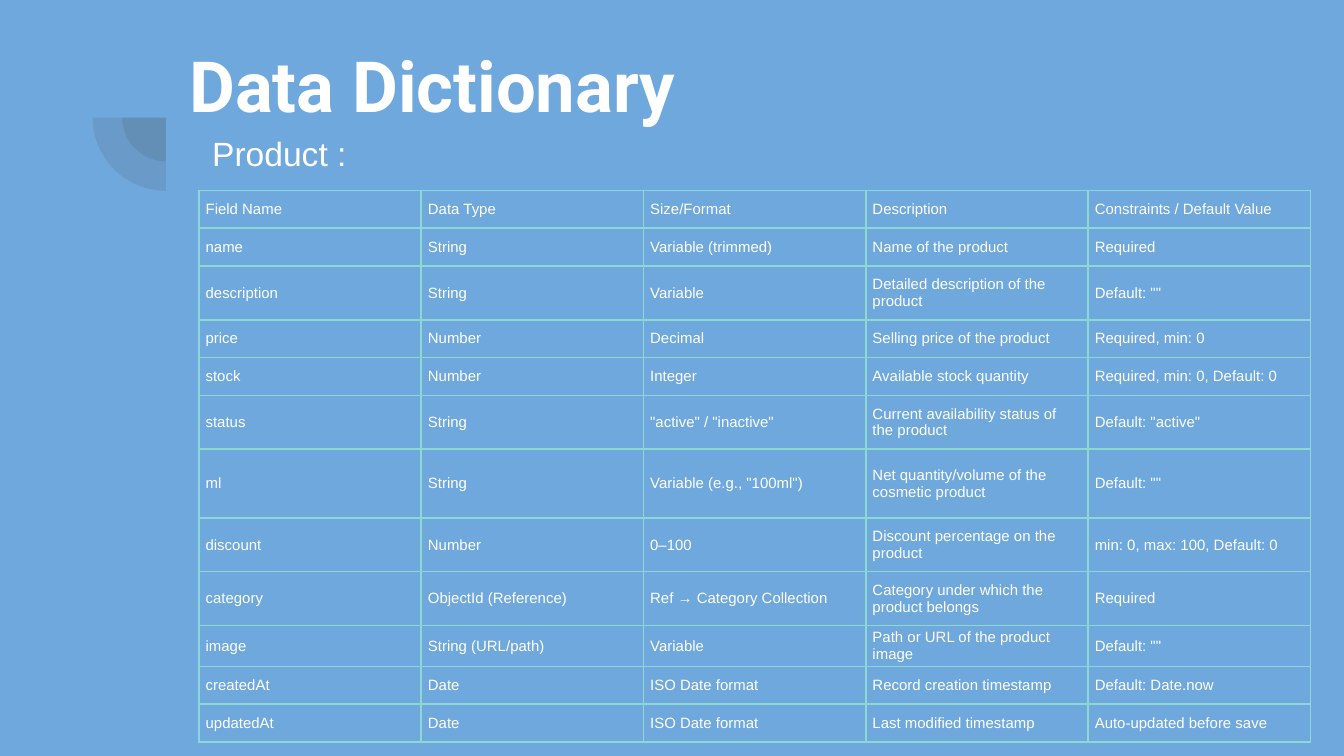
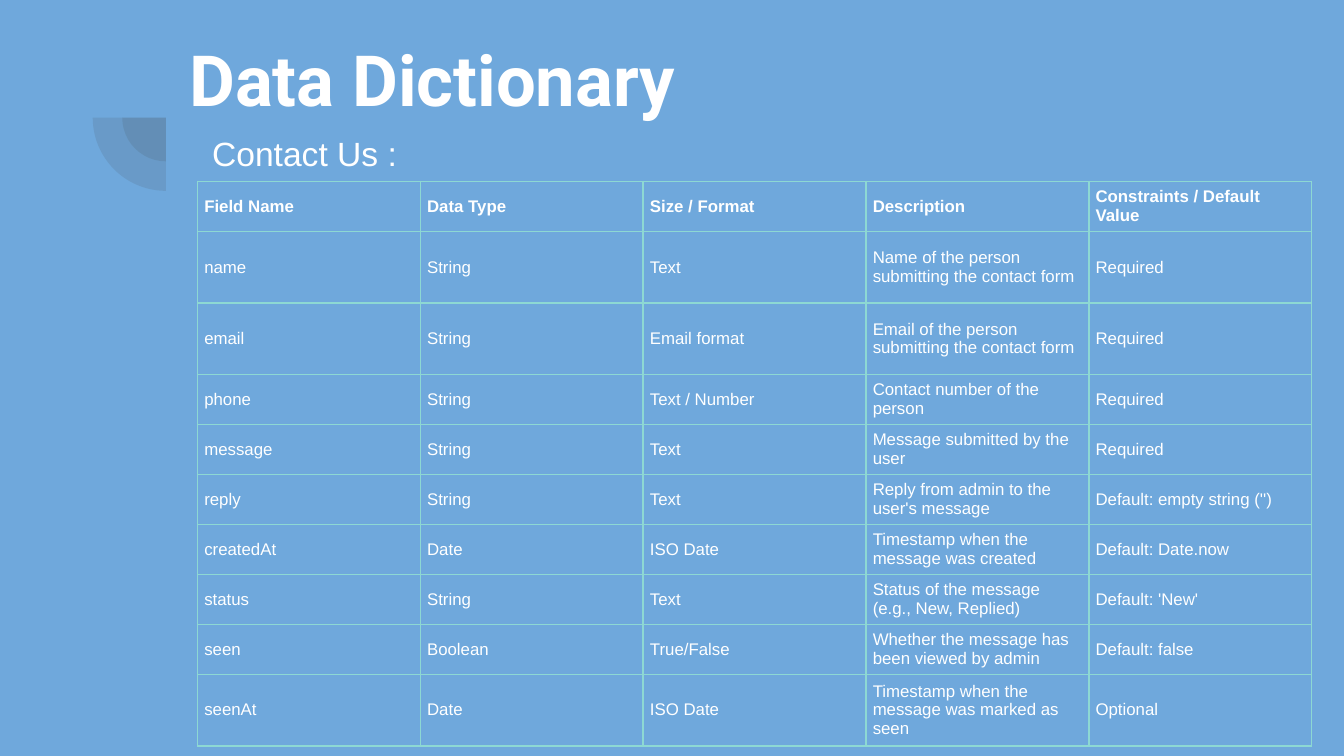
from lxml import etree
from pptx import Presentation
from pptx.dml.color import RGBColor
from pptx.enum.shapes import MSO_SHAPE
from pptx.enum.text import MSO_ANCHOR
from pptx.oxml.ns import qn
from pptx.util import Inches, Pt

PIE, MIDDLE = MSO_SHAPE.PIE, MSO_ANCHOR.MIDDLE
COLORS = {"sky": "6FA8DC", "mint": "8DD8D3", "gray": "424242", "white": "FFFFFF"}
WIDTH = Inches(10)
HEIGHT = WIDTH * 9 // 16

# Row heights, in percent of the slide height
LOW, MID, TALL = 5, 7.11, 9.12
PAIR, TRIO = 6.62, 9.46

PRODUCT = [
    (LOW, "Field Name", "Data Type", "Size/Format", "Description",
     "Constraints / Default Value"),
    (LOW, "name", "String", "Variable (trimmed)", "Name of the product", "Required"),
    (MID, "description", "String", "Variable", "Detailed description of the product",
     'Default: ""'),
    (LOW, "price", "Number", "Decimal", "Selling price of the product",
     "Required, min: 0"),
    (LOW, "stock", "Number", "Integer", "Available stock quantity",
     "Required, min: 0, Default: 0"),
    (MID, "status", "String", '"active" / "inactive"',
     "Current availability status of the product", 'Default: "active"'),
    (TALL, "ml", "String", 'Variable (e.g., "100ml")',
     "Net quantity/volume of the cosmetic product", 'Default: ""'),
    (MID, "discount", "Number", "0–100", "Discount percentage on the product",
     "min: 0, max: 100, Default: 0"),
    (MID, "category", "ObjectId (Reference)", "Ref → Category Collection",
     "Category under which the product belongs", "Required"),
    (LOW, "image", "String (URL/path)", "Variable", "Path or URL of the product image",
     'Default: ""'),
    (LOW, "createdAt", "Date", "ISO Date format", "Record creation timestamp",
     "Default: Date.now"),
    (LOW, "updatedAt", "Date", "ISO Date format", "Last modified timestamp",
     "Auto-updated before save"),
]
CONTACT = [
    (PAIR, "Field Name", "Data Type", "Size / Format", "Description",
     "Constraints / Default Value"),
    (TRIO, "name", "String", "Text", "Name of the person submitting the contact form",
     "Required"),
    (TRIO, "email", "String", "Email format",
     "Email of the person submitting the contact form", "Required"),
    (PAIR, "phone", "String", "Text / Number", "Contact number of the person",
     "Required"),
    (PAIR, "message", "String", "Text", "Message submitted by the user", "Required"),
    (PAIR, "reply", "String", "Text", "Reply from admin to the user's message",
     "Default: empty string ('')"),
    (PAIR, "createdAt", "Date", "ISO Date", "Timestamp when the message was created",
     "Default: Date.now"),
    (PAIR, "status", "String", "Text", "Status of the message (e.g., New, Replied)",
     "Default: 'New'"),
    (PAIR, "seen", "Boolean", "True/False",
     "Whether the message has been viewed by admin", "Default: false"),
    (TRIO, "seenAt", "Date", "ISO Date",
     "Timestamp when the message was marked as seen", "Optional"),
]


def across(share):
    return round(WIDTH * share / 100)


def down(share):
    return round(HEIGHT * share / 100)


def paint(fill, name):
    fill.solid()
    fill.fore_color.rgb = RGBColor.from_string(COLORS[name])


def style(para, size, face="Arial", bold=False):
    font = para.font
    font.name, font.size, font.bold = face, Pt(size), bold
    font.color.rgb = RGBColor.from_string(COLORS["white"])


def add_text(slide, text, left, top, wide, high, size, **look):
    box = slide.shapes.add_textbox(across(left), down(top), across(wide), down(high))
    frame = box.text_frame
    frame.word_wrap = True
    frame.text = text
    style(frame.paragraphs[0], size, **look)
    return frame


def add_title(slide, top):
    frame = add_text(slide, "Data Dictionary", 13.1, top, 76.9, 15.47, 37.8,
                     face="Roboto", bold=True)
    frame.vertical_anchor = MIDDLE
    frame.margin_left = frame.margin_right = Inches(0.1)
    frame.margin_top = frame.margin_bottom = Inches(0.1)


def add_arcs(slide):
    """Two see-through quarter discs around one centre."""
    for size in (across(6.5), across(10.9)):
        pie = slide.shapes.add_shape(PIE, across(12.35) - size // 2,
                                     down(15.56) - size // 2, size, size)
        pie.adjustments[0], pie.adjustments[1] = 108, 162
        pie.rotation = 270
        pie.shadow.inherit = False
        pie.line.fill.background()
        paint(pie.fill, "gray")
        tint = pie._element.spPr.find(".//" + qn("a:srgbClr"))
        etree.SubElement(tint, qn("a:alpha"), val="13000")


def add_edges(cell):
    props = cell._tc.get_or_add_tcPr()
    for spot, side in enumerate(("lnL", "lnR", "lnT", "lnB")):
        line = etree.Element(qn("a:" + side), w=str(Pt(1)))
        solid = etree.SubElement(line, qn("a:solidFill"))
        etree.SubElement(solid, qn("a:srgbClr"), val=COLORS["mint"])
        props.insert(spot, line)


def add_grid(slide, rows, left, top, col, size, bold, fill):
    count = len(rows[0]) - 1
    high = sum(row[0] for row in rows)
    table = slide.shapes.add_table(len(rows), count, across(left), down(top),
                                   across(col * count), down(high)).table
    table.first_row = table.horz_banding = False
    for column in table.columns:
        column.width = across(col)
    for r, (tall, *words) in enumerate(rows):
        table.rows[r].height = down(tall)
        for c, word in enumerate(words):
            cell = table.cell(r, c)
            cell.text = word
            cell.vertical_anchor = MIDDLE
            cell.margin_left = cell.margin_right = Inches(0.05)
            cell.margin_top = cell.margin_bottom = Inches(0.02)
            style(cell.text_frame.paragraphs[0], size, bold=bold and r == 0)
            if fill:
                paint(cell.fill, fill)
            else:
                cell.fill.background()
            add_edges(cell)


def add_page(deck, topic, head, rows, **grid):
    slide = deck.slides.add_slide(deck.slide_layouts[6])
    add_arcs(slide)
    add_title(slide, head)
    add_text(slide, topic, 14.8, 16.71, 16.1, 7.11, 18)
    add_grid(slide, rows, **grid)


def main():
    deck = Presentation()
    deck.slide_width, deck.slide_height = WIDTH, HEIGHT
    paint(deck.slide_master.background.fill, "sky")
    add_page(deck, "Product :", 3.38, PRODUCT, left=14.8, top=25.2, col=16.54,
             size=8, bold=False, fill="sky")
    add_page(deck, "Contact Us :", 2.67, CONTACT, left=14.7, top=24, col=16.58,
             size=9, bold=True, fill=None)
    deck.save("out.pptx")


if __name__ == "__main__":
    main()
